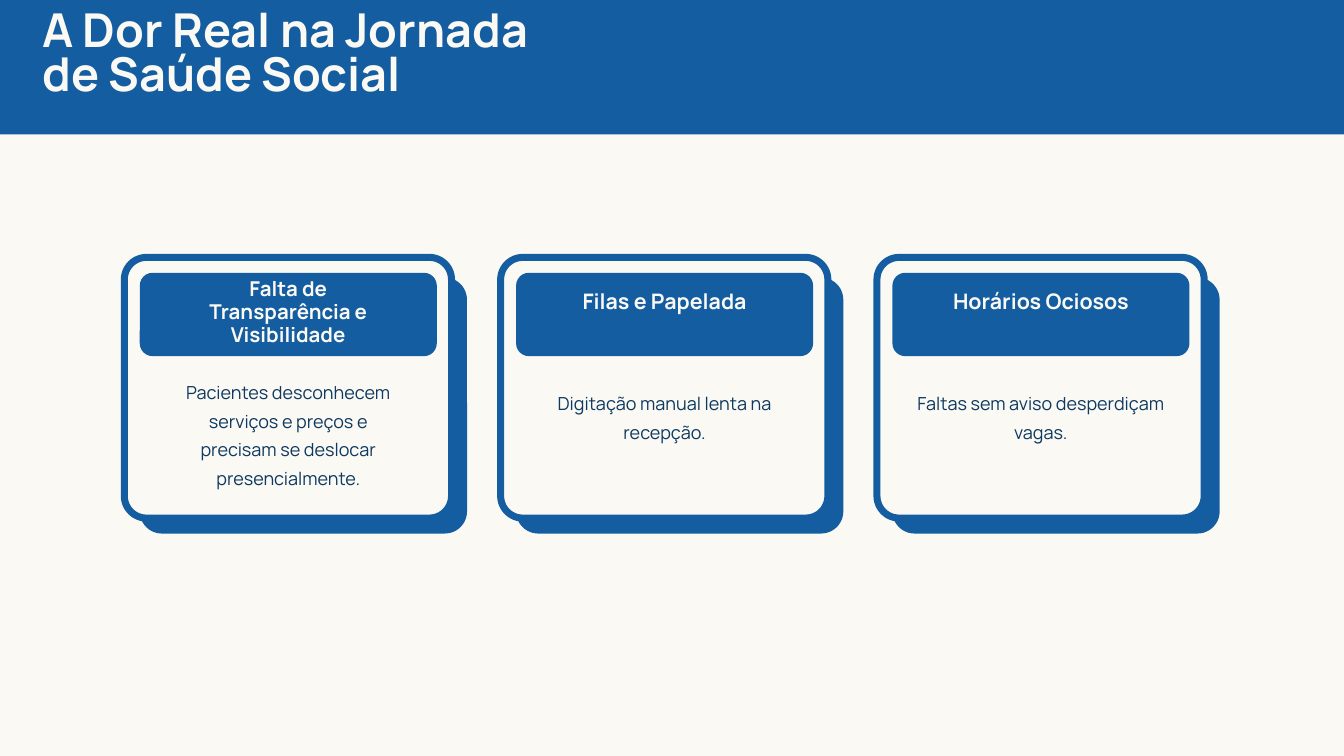
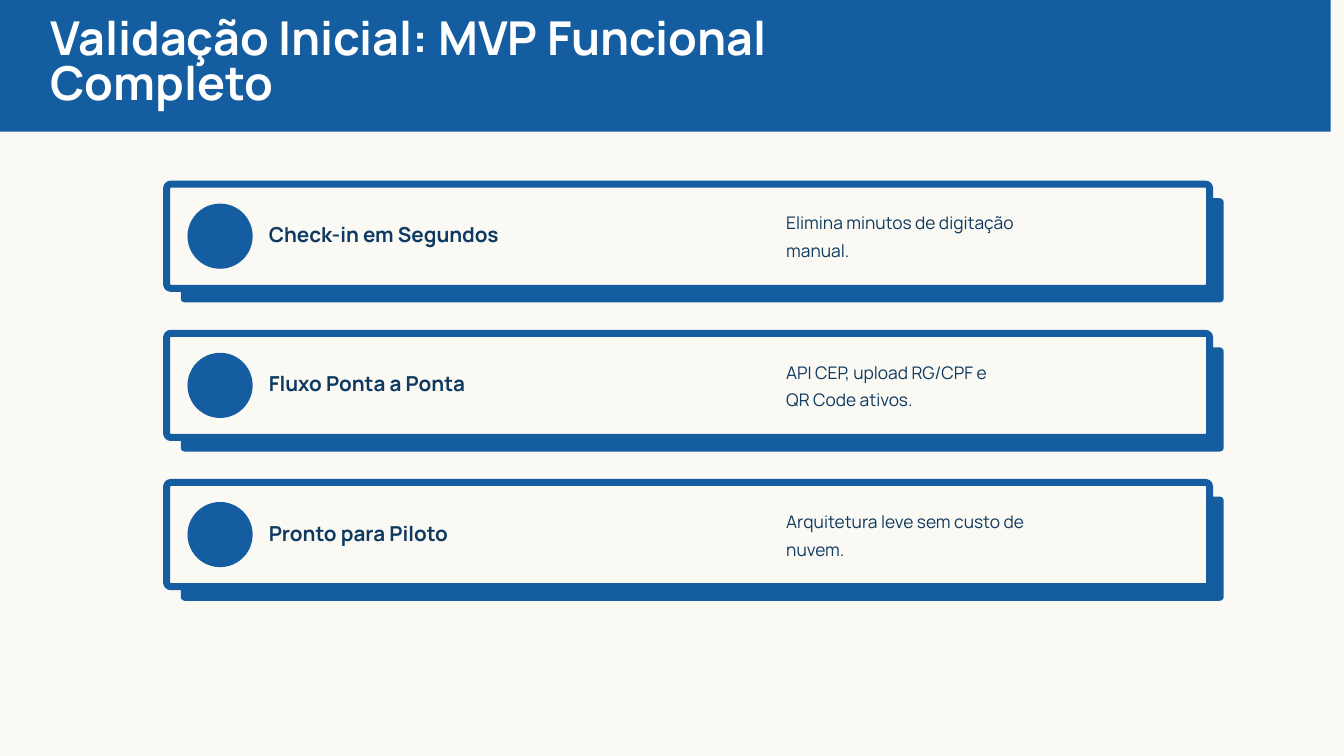
from pptx import Presentation
from pptx.dml.color import RGBColor
from pptx.enum.shapes import MSO_SHAPE
from pptx.enum.text import MSO_ANCHOR, PP_ALIGN
from pptx.util import Inches, Pt

RECTANGLE = MSO_SHAPE.RECTANGLE
ROUNDED = MSO_SHAPE.ROUNDED_RECTANGLE
CIRCLE = MSO_SHAPE.OVAL
LEFT, CENTER = PP_ALIGN.LEFT, PP_ALIGN.CENTER
TOP = MSO_ANCHOR.TOP

FONT = "Manrope"
COLORS = {"blue": "145DA0", "cream": "FAF9F4", "navy": "0E3960", "white": "FFFFFF"}
BORDER = 7.5

# heading, its size, line pitch, top and width; description, its top and width
PAINS = [
    (("Falta de Transparência e Visibilidade", 21.9, 24.6, 4.13, 3.17),
     ("Pacientes desconhecem serviços e preços e precisam se deslocar presencialmente.",
      5.57, 3.5)),
    (("Filas e Papelada", 22.9, 25.7, 4.32, 3.74),
     ("Digitação manual lenta na recepção.", 5.74, 3.83)),
    (("Horários Ociosos", 22.9, 25.7, 4.32, 3.36),
     ("Faltas sem aviso desperdiçam vagas.", 5.74, 3.94)),
]
RESULTS = [
    ("Check-in em Segundos", ["Elimina minutos de digitação", "manual."]),
    ("Fluxo Ponta a Ponta", ["API CEP, upload RG/CPF e", "QR Code ativos."]),
    ("Pronto para Piloto", ["Arquitetura leve sem custo de", "nuvem."]),
]


def rgb(name):
    return RGBColor.from_string(COLORS[name])


def add_box(slide, kind, left, top, width, height, fill="blue", radius=None, border=None):
    box = slide.shapes.add_shape(kind, Inches(left), Inches(top), Inches(width), Inches(height))
    box.shadow.inherit = False
    box.fill.solid()
    box.fill.fore_color.rgb = rgb(fill)
    if radius is not None:
        box.adjustments[0] = radius / min(width, height)
    if border:
        box.line.color.rgb = rgb("blue")
        box.line.width = Pt(border)
    else:
        box.line.fill.background()


def add_text(slide, lines, left, top, width, height, size, pitch, color,
             bold=False, align=LEFT):
    """Write one paragraph per line, with an exact line pitch in points."""
    frame = slide.shapes.add_textbox(
        Inches(left), Inches(top), Inches(width), Inches(height)).text_frame
    frame.word_wrap = True
    frame.vertical_anchor = TOP
    frame.margin_left = frame.margin_top = frame.margin_right = frame.margin_bottom = 0
    for index, line in enumerate(lines):
        paragraph = frame.add_paragraph() if index else frame.paragraphs[0]
        paragraph.alignment = align
        paragraph.line_spacing = Pt(pitch)
        run = paragraph.add_run()
        run.text = line
        run.font.name = FONT
        run.font.size = Pt(size)
        run.font.bold = bold
        run.font.color.rgb = rgb(color)


def add_slide(deck):
    slide = deck.slides.add_slide(deck.slide_layouts[6])
    slide.background.fill.solid()
    slide.background.fill.fore_color.rgb = rgb("cream")
    return slide


def add_title_band(slide, lines, band, left, top, width, color):
    add_box(slide, RECTANGLE, *band)
    add_text(slide, lines, left, top, width, 2.06, 50, 47.5, color, bold=True)


def add_raised_panel(slide, left, top, width, height, shade, radius):
    """Draw a bordered panel over a solid shade given as (dx, dy, height)."""
    dx, dy, shade_height = shade
    add_box(slide, ROUNDED, left + dx, top + dy, width, shade_height, radius=radius)
    add_box(slide, ROUNDED, left, top, width, height, "cream", radius, BORDER)


def add_pain_card(slide, left, heading, description):
    title, size, pitch, title_top, title_width = heading
    body, body_top, body_width = description
    header_left, header_width = left + 0.23, 4.42
    middle = header_left + header_width / 2
    add_raised_panel(slide, left, 3.83, 4.87, 3.88, (0.23, 0.3, 3.81), 0.33)
    add_box(slide, ROUNDED, header_left, 4.06, header_width, 1.24, radius=0.19)
    add_text(slide, [title], middle - title_width / 2, title_top, title_width, 1,
             size, pitch, "cream", bold=True, align=CENTER)
    add_text(slide, [body], middle - body_width / 2, body_top, body_width, 1.65,
             19.3, 30.8, "navy", align=CENTER)


def add_result_row(slide, top, heading, description):
    add_raised_panel(slide, 2.48, top, 15.52, 1.55, (0.21, 0.21, 1.55), 0.06)
    add_box(slide, CIRCLE, 2.79, top + 0.29, 0.97, 0.97)
    add_text(slide, [heading], 4, top + 0.59, 4.7, 0.71, 22.1, 24.8, "navy", bold=True)
    add_text(slide, description, 11.7, top + 0.32, 6.01, 0.8, 18.6, 29.8, "navy")


def build_pains(deck):
    slide = add_slide(deck)
    add_title_band(slide, ["A Dor Real na Jornada", "de Saúde Social"],
                   (0, -0.11, 20, 2.11), 0.63, 0.18, 13.81, "cream")
    for column, (heading, description) in enumerate(PAINS):
        add_pain_card(slide, 1.85 + 5.6 * column, heading, description)


def build_validation(deck):
    slide = add_slide(deck)
    add_title_band(slide, ["Validação Inicial: MVP Funcional Completo"],
                   (-0.2, -0.51, 20, 2.47), 0.75, 0.31, 13.92, "white")
    for row, (heading, description) in enumerate(RESULTS):
        add_result_row(slide, 2.74 + 2.22 * row, heading, description)


def main():
    deck = Presentation()
    deck.slide_width, deck.slide_height = Inches(20), Inches(11.25)
    build_pains(deck)
    build_validation(deck)
    deck.save("out.pptx")


if __name__ == "__main__":
    main()
